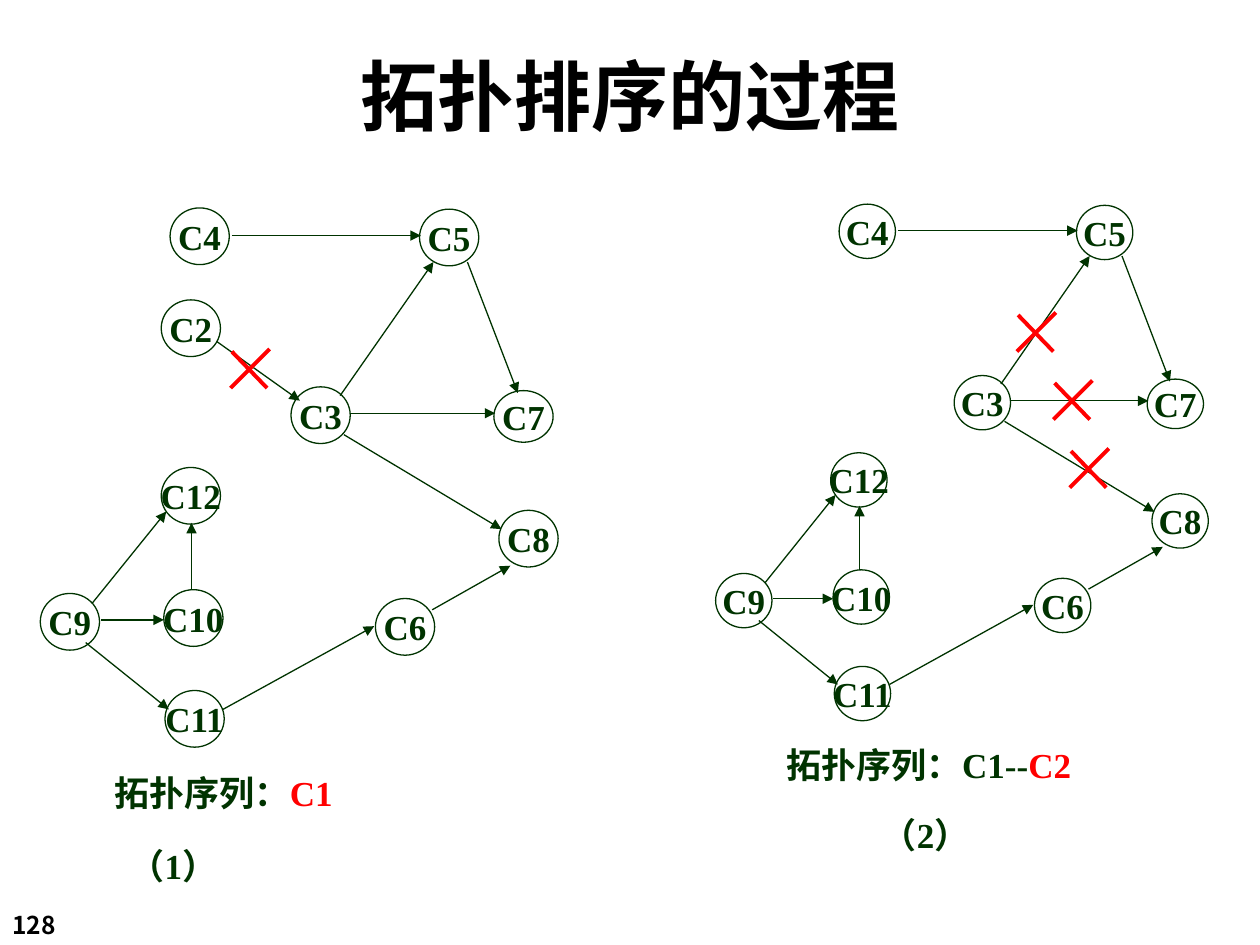
from pptx import Presentation
from pptx.dml.color import RGBColor
from pptx.enum.shapes import MSO_CONNECTOR, MSO_SHAPE
from pptx.enum.text import MSO_ANCHOR, MSO_AUTO_SIZE, PP_ALIGN
from pptx.oxml.ns import qn
from pptx.util import Inches, Pt
from lxml.etree import SubElement

GREEN = RGBColor(0x00, 0x33, 0x00)
RED = RGBColor(0xFF, 0x00, 0x00)
BLACK = RGBColor(0x00, 0x00, 0x00)
SANS = "Noto Sans CJK SC"
SERIF = "Times New Roman"

# Graph layout, in inches from the top left of a full-size graph
GRAPH_WIDTH, GRAPH_HEIGHT = 4.11, 4.28
NODE_WIDTH, NODE_HEIGHT = 0.47, 0.45
NODES = {
    "C2": (0.96, 0.73), "C3": (1.99, 1.42), "C4": (1.03, 0), "C5": (3.01, 0.01),
    "C6": (2.66, 3.1), "C7": (3.6, 1.45), "C8": (3.64, 2.4), "C9": (0, 3.06),
    "C10": (0.98, 3.03), "C11": (0.99, 3.83), "C12": (0.96, 2.06),
}
NODE_HEIGHTS = {"C7": 0.41}
EDGES = {
    ("C2", "C3"): (1.4, 1.06, 2.06, 1.53),
    ("C4", "C5"): (1.52, 0.22, 3.02, 0.22),
    ("C3", "C5"): (2.38, 1.49, 3.12, 0.43),
    ("C3", "C7"): (2.46, 1.63, 3.61, 1.63),
    ("C5", "C7"): (3.39, 0.43, 3.79, 1.47),
    ("C9", "C12"): (0.41, 3.14, 1, 2.41),
    ("C9", "C10"): (0.48, 3.27, 0.98, 3.27),
    ("C10", "C12"): (1.2, 3.03, 1.2, 2.5),
    ("C9", "C11"): (0.36, 3.45, 1.02, 3.98),
    ("C11", "C6"): (1.45, 3.98, 2.65, 3.32),
    ("C6", "C8"): (3.11, 3.19, 3.73, 2.84),
    ("C3", "C8"): (2.41, 1.8, 3.66, 2.55),
}


def add_run(paragraph, text, size, color, font=SERIF):
    run = paragraph.add_run()
    run.text = text
    run.font.size = Pt(size)
    run.font.bold = True
    run.font.name = font
    run.font.color.rgb = color
    SubElement(run.font._element, qn("a:ea")).set("typeface", SANS)


def add_text(slide, box, runs, size, font=SERIF, wrap=False):
    frame = slide.shapes.add_textbox(*map(Inches, box)).text_frame
    frame.word_wrap = wrap
    if not wrap:
        frame.auto_size = MSO_AUTO_SIZE.SHAPE_TO_FIT_TEXT
    paragraph = frame.paragraphs[0]
    for text, color in runs:
        add_run(paragraph, text, size, color, font)
    return paragraph


def add_line(slide, ends, color, weight, arrow=False):
    line = slide.shapes.add_connector(MSO_CONNECTOR.STRAIGHT, *map(Inches, ends))
    line.line.color.rgb = color
    line.line.width = Pt(weight)
    if arrow:
        SubElement(line.line._get_or_add_ln(), qn("a:tailEnd")).set("type", "triangle")
    SubElement(line._element.spPr, qn("a:effectLst"))


def add_node(slide, box, label):
    node = slide.shapes.add_shape(MSO_SHAPE.OVAL, *map(Inches, box))
    node.shadow.inherit = False
    node.fill.background()
    node.line.color.rgb = GREEN
    node.line.width = Pt(0.75)
    frame = node.text_frame
    frame.word_wrap = False
    frame.vertical_anchor = MSO_ANCHOR.MIDDLE
    frame.paragraphs[0].alignment = PP_ALIGN.CENTER
    add_run(frame.paragraphs[0], label, 20, GREEN)


def add_cross(slide, left, top):
    """Strike out a removed edge."""
    add_line(slide, (left + 0.01, top + 0.02, left + 0.29, top + 0.31), RED, 2.25)
    add_line(slide, (left + 0.31, top, left, top + 0.31), RED, 2.25)


def add_graph(slide, box, removed, sequence, sequence_width, step, step_left, crosses):
    left, top, width, height = box
    scale_x, scale_y = width / GRAPH_WIDTH, height / GRAPH_HEIGHT

    def place(x, y):
        return left + x * scale_x, top + y * scale_y

    # Course nodes
    for label, corner in NODES.items():
        if label not in removed:
            node_height = NODE_HEIGHTS.get(label, NODE_HEIGHT)
            size = NODE_WIDTH * scale_x, node_height * scale_y
            add_node(slide, (*place(*corner), *size), label)

    # Prerequisite arrows
    for courses, (x1, y1, x2, y2) in EDGES.items():
        if not removed.intersection(courses):
            add_line(slide, (*place(x1, y1), *place(x2, y2)), GREEN, 0.75, arrow=True)

    # Sequence so far and step number
    add_text(slide, (*place(0.49, 4.42), sequence_width, 0.44), sequence, 20)
    step_top = place(0, 5)[1]
    add_text(slide, (left + step_left, step_top, 1.03, 0.44), [(step, GREEN)], 20)

    # Removed edges
    for cross_x, cross_y in crosses:
        add_cross(slide, left + cross_x, top + cross_y)


def add_title(slide, box):
    title = add_text(slide, box, [("拓扑排序的过程", BLACK)], 44, SANS, wrap=True)
    title.alignment = PP_ALIGN.CENTER
    title.line_spacing = 0.9


def main():
    prs = Presentation()
    prs.slide_width, prs.slide_height = Inches(10), Inches(7.5)
    slide = prs.slides.add_slide(prs.slide_layouts[6])

    add_text(slide, (0, 7.17, 0.83, 0.34), [("128", BLACK)], 14, SANS, wrap=True)
    add_graph(slide, (0.32, 1.65, GRAPH_WIDTH, GRAPH_HEIGHT), set(),
              [("拓扑序列：", GREEN), ("C1", RED)], 2, "（1）", 0.61,
              [(1.51, 1.12)])
    add_graph(slide, (5.68, 1.62, 3.91, 4.1), {"C2"},
              [("拓扑序列：C1--", GREEN), ("C2", RED)], 2.56, "（2）", 1.22,
              [(2.39, 0.86), (2.68, 1.4), (2.81, 1.94)])
    add_title(slide, (0.42, 0.42, 9.17, 1))

    prs.save("out.pptx")


if __name__ == "__main__":
    main()
